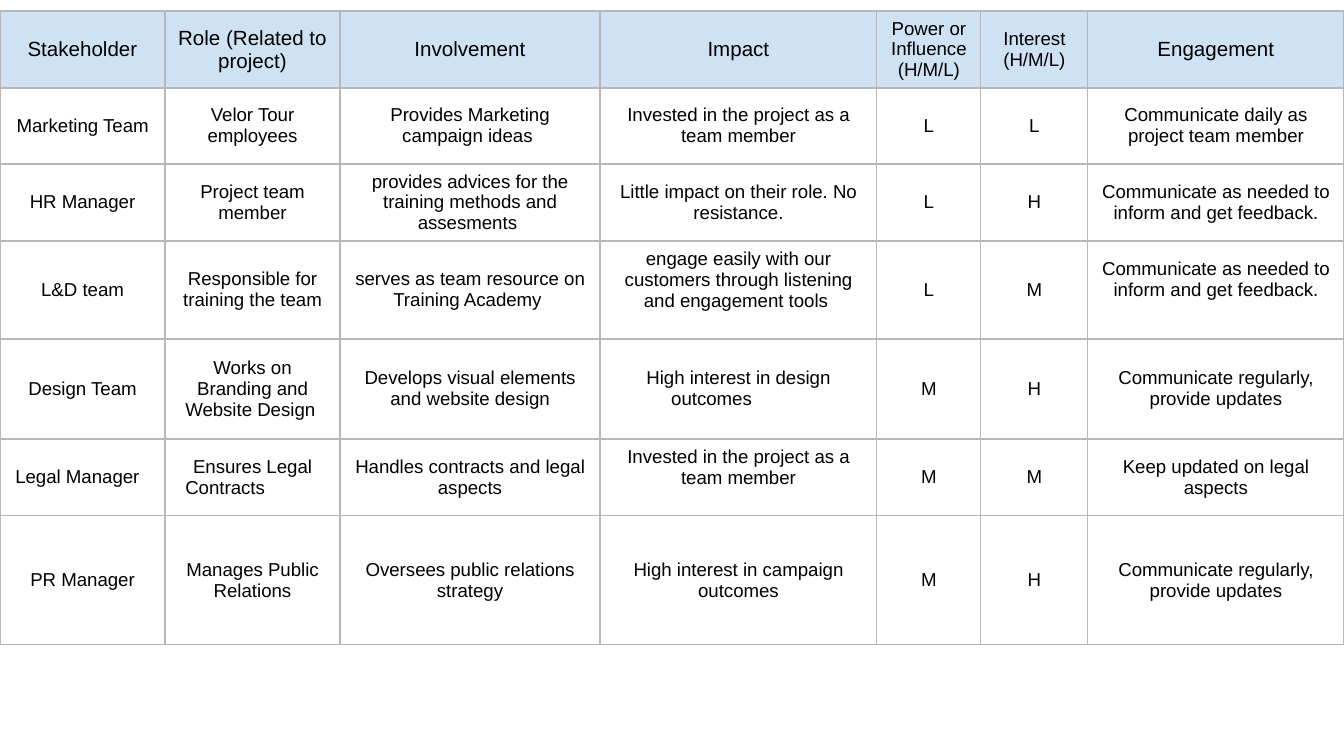
from dataclasses import dataclass

from lxml.etree import SubElement
from pptx import Presentation
from pptx.dml.color import RGBColor
from pptx.enum.text import MSO_ANCHOR, PP_ALIGN
from pptx.oxml.ns import qn
from pptx.table import _Cell as Cell
from pptx.util import Emu, Pt

SLIDE_WIDTH, SLIDE_HEIGHT = 1344, 756
EMU_PER_PX = 9144000 / SLIDE_WIDTH
TABLE_TOP = 11
MARGIN_X, MARGIN_Y = 10, 7
LINE_HEIGHT = 20

BLACK = RGBColor(0x00, 0x00, 0x00)
HEADER_BLUE = RGBColor(0xCF, 0xE2, 0xF3)
BORDER_GRAY = RGBColor(0xB7, 0xB7, 0xB7)


@dataclass(frozen=True)
class Column:
    title: str
    width: int
    title_size: int = 11


@dataclass(frozen=True)
class Stakeholder:
    height: int
    texts: tuple[str, ...]
    raised: tuple[int, ...] = ()  # columns whose text sits half a line higher


HEADER_HEIGHT = 77
COLUMNS = (
    Column("Stakeholder", 165),
    Column("Role (Related to project)", 175),
    Column("Involvement", 260),
    Column("Impact", 277),
    Column("Power or Influence (H/M/L)", 104, 10),
    Column("Interest (H/M/L)", 107, 10),
    Column("Engagement", 256),
)
STAKEHOLDERS = (
    Stakeholder(76, (
        "Marketing Team", "Velor Tour employees", "Provides Marketing campaign ideas ",
        "Invested in the project as a team member", "L", "L",
        "Communicate daily as project team member")),
    Stakeholder(77, (
        "HR Manager", "Project team member",
        "provides advices for the training methods and assesments ",
        "Little impact on their role. No resistance.", "L", "H",
        "Communicate as needed to inform and get feedback.")),
    Stakeholder(98, (
        "L&D team", "Responsible for training the team",
        "serves as team resource on Training Academy ",
        "engage easily with our customers through listening and engagement tools ",
        "L", "M", "Communicate as needed to inform and get feedback."), raised=(3, 6)),
    Stakeholder(100, (
        "Design Team", "Works on Branding and Website Design\t",
        "Develops visual elements and website design",
        "High interest in design outcomes\t", "M", "H",
        "Communicate regularly, provide updates")),
    Stakeholder(77, (
        "Legal Manager\t", "Ensures Legal Contracts\t",
        "Handles contracts and legal aspects",
        "Invested in the project as a team member", "M", "M",
        "Keep updated on legal aspects"), raised=(3,)),
    Stakeholder(129, (
        "PR Manager", "Manages Public Relations", "Oversees public relations strategy",
        "High interest in campaign outcomes", "M", "H",
        "Communicate regularly, provide updates")),
)


def px(length: int) -> Emu:
    return Emu(round(length * EMU_PER_PX))


def add_borders(cell: Cell) -> None:
    """Draw the four edges; they must come before the fill in the cell XML."""
    properties = cell._tc.get_or_add_tcPr()
    for edge in ("a:lnL", "a:lnR", "a:lnT", "a:lnB"):
        line = SubElement(properties, qn(edge), w=str(Pt(0.75)))
        fill = SubElement(line, qn("a:solidFill"))
        SubElement(fill, qn("a:srgbClr"), val=str(BORDER_GRAY))


def fill_cell(cell: Cell, text: str, size: int,
              color: RGBColor | None = None, raised: bool = False) -> None:
    add_borders(cell)
    if color is None:
        cell.fill.background()
    else:
        cell.fill.solid()
        cell.fill.fore_color.rgb = color
    cell.vertical_anchor = MSO_ANCHOR.MIDDLE
    cell.margin_left = cell.margin_right = px(MARGIN_X)
    cell.margin_top = px(MARGIN_Y)
    cell.margin_bottom = px(MARGIN_Y + LINE_HEIGHT * raised)
    cell.text_frame.text = text
    paragraph = cell.text_frame.paragraphs[0]
    paragraph.alignment = PP_ALIGN.CENTER
    font = paragraph.runs[0].font
    font.name = "Arial"
    font.size = Pt(size)
    font.bold = False
    font.color.rgb = BLACK


def main() -> None:
    presentation = Presentation()
    presentation.slide_width = px(SLIDE_WIDTH)
    presentation.slide_height = px(SLIDE_HEIGHT)
    slide = presentation.slides.add_slide(presentation.slide_layouts[6])

    heights = [HEADER_HEIGHT] + [stakeholder.height for stakeholder in STAKEHOLDERS]
    table = slide.shapes.add_table(
        len(heights), len(COLUMNS), px(0), px(TABLE_TOP),
        px(SLIDE_WIDTH), px(sum(heights))).table
    table.first_row = table.horz_banding = False

    for row, height in zip(table.rows, heights):
        row.height = px(height)
    for index, column in enumerate(COLUMNS):
        table.columns[index].width = px(column.width)
        fill_cell(table.cell(0, index), column.title, column.title_size, HEADER_BLUE)
    for row_index, stakeholder in enumerate(STAKEHOLDERS, start=1):
        for index, text in enumerate(stakeholder.texts):
            fill_cell(table.cell(row_index, index), text, 10,
                      raised=index in stakeholder.raised)

    presentation.save("out.pptx")


if __name__ == "__main__":
    main()
